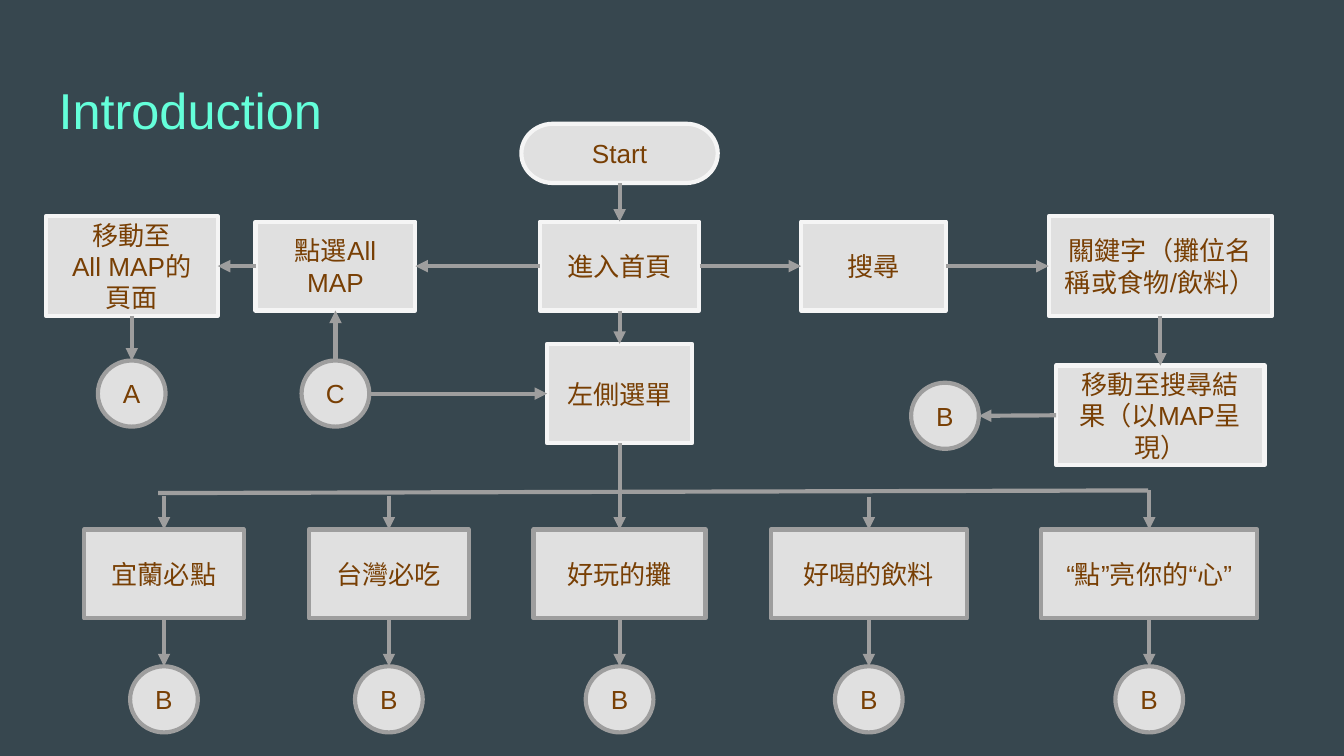
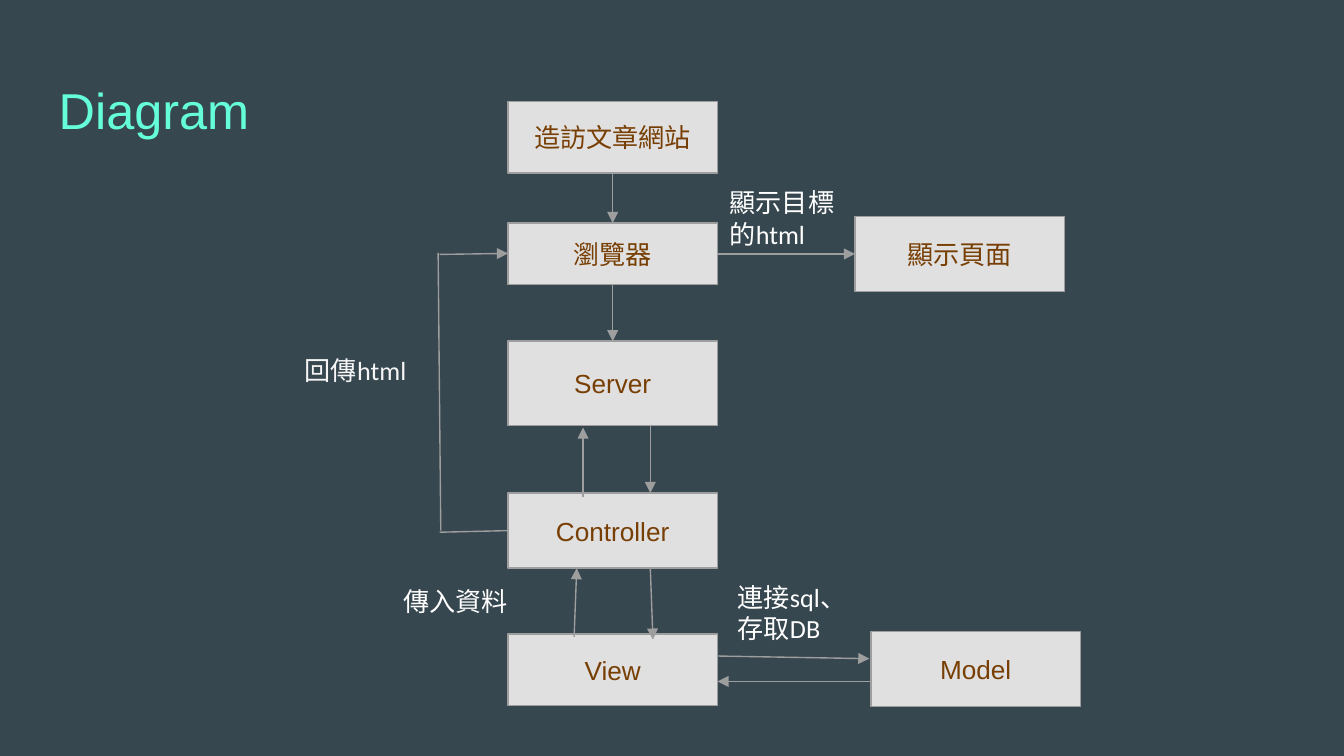
from lxml import etree
from pptx import Presentation
from pptx.dml.color import RGBColor
from pptx.enum.shapes import MSO_CONNECTOR, MSO_SHAPE
from pptx.enum.text import MSO_ANCHOR, MSO_AUTO_SIZE, PP_ALIGN
from pptx.oxml.ns import qn
from pptx.util import Cm, Pt

RECTANGLE = MSO_SHAPE.RECTANGLE
CIRCLE = MSO_SHAPE.OVAL
TERMINATOR = MSO_SHAPE.FLOWCHART_TERMINATOR
STRAIGHT = MSO_CONNECTOR.STRAIGHT
LEFT, CENTER = PP_ALIGN.LEFT, PP_ALIGN.CENTER
TOP, MIDDLE = MSO_ANCHOR.TOP, MSO_ANCHOR.MIDDLE
FIXED, GROW = MSO_AUTO_SIZE.NONE, MSO_AUTO_SIZE.SHAPE_TO_FIT_TEXT

BACKGROUND = "37474F"
MINT = "64FFDA"
PANEL = "E0E0E0"
BROWN = "783F04"
GREY = "9E9E9E"
PALE = "F5F5F5"
WHITE = "FFFFFF"

# Side name: connection site, then its place as a share of width and height
SIDES = {"top": (0, 0.5, 0), "left": (1, 0, 0.5),
         "bottom": (2, 0.5, 1), "right": (3, 1, 0.5)}


def color(hex_code):
    return RGBColor.from_string(hex_code)


def write(frame, text, size=14, font="Arial", ink=BROWN, align=CENTER,
          anchor=MIDDLE, fit=FIXED):
    """Fill a text frame, one paragraph for each line of text."""
    frame.word_wrap = True
    frame.auto_size = fit
    frame.vertical_anchor = anchor
    frame.margin_left = frame.margin_right = Cm(0.25)
    frame.margin_top = frame.margin_bottom = Cm(0.25)
    for index, line in enumerate(text.split("\n")):
        paragraph = frame.add_paragraph() if index else frame.paragraphs[0]
        paragraph.alignment = align
        run = paragraph.add_run()
        run.text = line
        run.font.name = font
        run.font.size = Pt(size)
        run.font.color.rgb = color(ink)
        east_asian = etree.SubElement(run.font._element, qn("a:ea"))
        east_asian.set("typeface", font)


class Flowchart:
    """Shared style and the slide being drawn; all lengths in centimetres."""

    def __init__(self):
        self.deck = Presentation()
        self.deck.slide_width = Cm(25.4)
        self.deck.slide_height = Cm(14.29)
        backdrop = self.deck.slide_master.background.fill
        backdrop.solid()
        backdrop.fore_color.rgb = color(BACKGROUND)
        self.slide = None
        self.weight = None

    def start_slide(self, title, weight):
        """Add a titled slide whose lines are all `weight` points wide."""
        self.slide = self.deck.slides.add_slide(self.deck.slide_layouts[5])
        self.weight = weight
        heading = self.slide.shapes.title
        heading.left, heading.top = Cm(0.86), Cm(1.24)
        heading.width, heading.height = Cm(23.67), Cm(1.6)
        write(heading.text_frame, title, size=27, ink=MINT, align=LEFT, anchor=TOP)

    def outline(self, line, ink):
        line.color.rgb = color(ink)
        line.width = Pt(self.weight)
        return line._get_or_add_ln()

    def node(self, text, x, y, width, height=1.68, border=GREY, kind=RECTANGLE):
        """Draw a labelled shape centred on x, y."""
        shape = self.slide.shapes.add_shape(
            kind, Cm(x - width / 2), Cm(y - height / 2), Cm(width), Cm(height))
        shape.shadow.inherit = False
        shape.fill.solid()
        shape.fill.fore_color.rgb = color(PANEL)
        etree.SubElement(self.outline(shape.line, border), qn("a:round"))
        write(shape.text_frame, text)
        return shape

    def circle(self, letter, x, y):
        return self.node(letter, x, y, 1.28, 1.25, kind=CIRCLE)

    def label(self, text, x, y, width, height, ink=WHITE):
        box = self.slide.shapes.add_textbox(Cm(x), Cm(y), Cm(width), Cm(height))
        write(box.text_frame, text, font="Calibri", ink=ink, align=LEFT,
              anchor=TOP, fit=GROW)

    def line(self, x1, y1, x2, y2, arrow=True):
        link = self.slide.shapes.add_connector(
            STRAIGHT, Cm(x1), Cm(y1), Cm(x2), Cm(y2))
        stroke = self.outline(link.line, GREY)
        if arrow:
            etree.SubElement(stroke, qn("a:tailEnd")).set("type", "triangle")
        etree.SubElement(link._element.spPr, qn("a:effectLst"))
        return link

    def connect(self, source, source_side, target, target_side):
        """Draw an arrow between the sides of two nodes, glued where possible."""
        points = []
        for shape, side in ((source, source_side), (target, target_side)):
            _, across, down = SIDES[side]
            points += [(shape.left + shape.width * across) / Cm(1),
                       (shape.top + shape.height * down) / Cm(1)]
        link = self.line(*points)
        for glue, shape, side in ((link.begin_connect, source, source_side),
                                  (link.end_connect, target, target_side)):
            # Circles number their sites differently, apart from the top
            if shape.auto_shape_type != CIRCLE or side == "top":
                glue(shape, SIDES[side][0])

    def flow_down(self, *nodes):
        for upper, lower in zip(nodes, nodes[1:]):
            self.connect(upper, "bottom", lower, "top")


def draw_introduction(chart):
    chart.start_slide("Introduction", weight=2.25)
    middle, main_row, menu_row = 11.71, 5.03, 7.44
    tall = 1.88

    start = chart.node("Start", middle, 2.9, 3.71, 1.12, PALE, TERMINATOR)
    home = chart.node("進入首頁", middle, main_row, 3.02, border=PALE)
    pick_map = chart.node("點選All MAP", 6.34, main_row, 3.02, border=PALE)
    map_page = chart.node("移動至\nAll MAP的頁面", 2.49, main_row, 3.25, tall, PALE)
    search = chart.node("搜尋", 16.51, main_row, 2.74, border=PALE)
    keyword = chart.node("關鍵字（攤位名稱或食物/飲料）", 21.93, main_row, 4.22, tall, PALE)
    result = chart.node("移動至搜尋結果（以MAP呈現）", 21.93, 7.85, 3.94, tall, PALE)
    menu = chart.node("左側選單", middle, menu_row, 2.74, tall, PALE)
    to_a = chart.circle("A", 2.49, menu_row)
    from_c = chart.circle("C", 6.34, menu_row)
    to_b = chart.circle("B", 17.86, 7.86)

    chart.flow_down(start, home, menu)
    chart.flow_down(map_page, to_a)
    chart.flow_down(keyword, result)
    chart.connect(home, "left", pick_map, "right")
    chart.connect(pick_map, "left", map_page, "right")
    chart.connect(home, "right", search, "left")
    chart.connect(search, "right", keyword, "left")
    chart.connect(from_c, "top", pick_map, "bottom")
    chart.connect(from_c, "right", menu, "left")
    chart.connect(result, "left", to_b, "right")

    chart.line(2.99, 9.32, 21.7, 9.27, arrow=False)
    # Menu entry, centre, width, start of the drop from the bar
    for entry, x, width, drop in (
            ("宜蘭必點", 3.1, 3.02, 9.37),
            ("台灣必吃", 7.35, 3.02, 9.37),
            ("好玩的攤", middle, 3.25, None),
            ("好喝的飲料", 16.42, 3.71, 9.4),
            ("“點”亮你的“心”", 21.72, 4.09, 9.27)):
        category = chart.node(entry, x, 10.85, width)
        chart.flow_down(category, chart.circle("B", x, 13.22))
        if drop is None:
            chart.flow_down(menu, category)
        else:
            chart.line(x, drop, x, 10.01)


def draw_diagram(chart):
    chart.start_slide("Diagram", weight=0.75)
    middle, width = 11.58, 3.96

    visit = chart.node("造訪文章網站", middle, 2.6, width, 1.35)
    browser = chart.node("瀏覽器", middle, 4.8, width, 1.17)
    server = chart.node("Server", middle, 7.25, width, 1.6)
    chart.node("Controller", middle, 10.03, width, 1.42)
    chart.node("View", middle, 12.66, width, 1.35)
    page = chart.node("顯示頁面", 18.14, 4.8, width, 1.42)
    chart.node("Model", 18.44, 12.65, width, 1.42)

    chart.flow_down(visit, browser, server)
    chart.connect(browser, "right", page, "left")
    for ends in ((12.29, 8.05, 12.29, 9.32),     # Server to Controller
                 (11.02, 9.4, 11.02, 8.08),      # Controller to Server
                 (12.29, 10.74, 12.34, 12.09),   # Controller to View
                 (10.85, 12.04, 10.9, 10.74),    # View to Controller
                 (13.56, 12.4, 16.43, 12.45),    # View to Model
                 (16.46, 12.88, 13.56, 12.88),   # Model to View
                 (8.31, 4.81, 9.6, 4.79)):       # return into the browser
        chart.line(*ends)
    chart.line(8.28, 4.78, 8.33, 10.03, arrow=False)
    chart.line(8.31, 10.06, 9.6, 10.03, arrow=False)

    chart.label("顯示目標的html", 13.54, 3.28, 2.64, 1.7)
    chart.label("連接sql、存取DB", 13.69, 10.74, 2.64, 1.7)
    chart.label("回傳html", 5.51, 6.45, 3.23, 1.12, ink=PALE)
    chart.label("傳入資料", 7.37, 10.82, 2.64, 1.12)


def main():
    chart = Flowchart()
    draw_introduction(chart)
    draw_diagram(chart)
    chart.deck.save("out.pptx")


if __name__ == "__main__":
    main()
